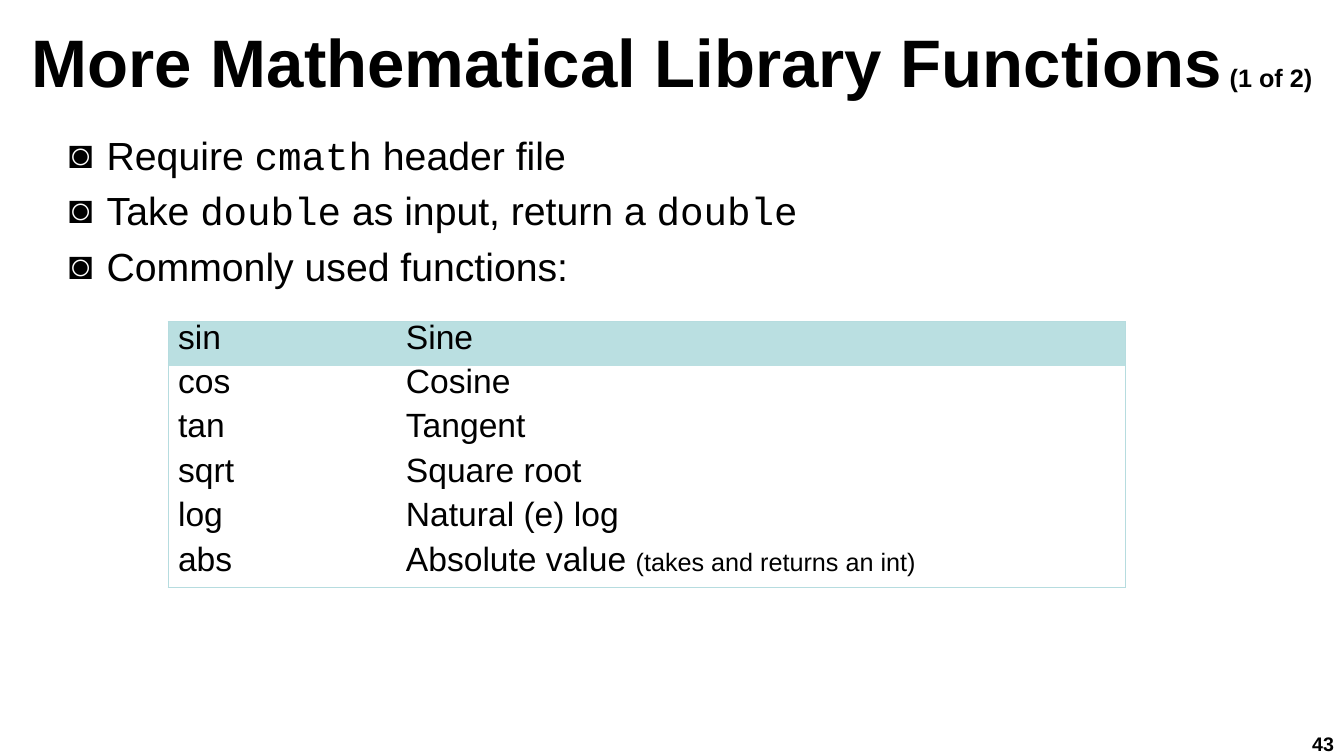
from lxml import etree
from pptx import Presentation, util as u
from pptx.dml.color import RGBColor
from pptx.enum import text
from pptx.oxml import ns

COLORS = {"ink": "000000", "band": "BADFE1", "rule": "B6DCDF"}
SANS, CODE = "Arial", "Courier New"
FUNCTIONS = [
    ("sin", "Sine"),
    ("cos", "Cosine"),
    ("tan", "Tangent"),
    ("sqrt", "Square root"),
    ("log", "Natural (e) log"),
    ("abs", "Absolute value "),
]
REQUIREMENTS = [
    [("Require ", SANS), ("cmath", CODE), (" header file", SANS)],
    [("Take ", SANS), ("double", CODE), (" as input, return a ", SANS), ("double", CODE)],
    [("Commonly used functions:", SANS)],
]
NO_GRID_STYLE = "{2D5ABB26-0587-4C30-8999-92F81FD0307C}"


def rgb(name):
    return RGBColor.from_string(COLORS[name])


def write(paragraph, words, size, font=SANS, bold=False, color="ink"):
    run = paragraph.add_run()
    run.text = words
    run.font.name, run.font.size, run.font.bold = font, u.Pt(size), bold
    run.font.color.rgb = rgb(color)


def place(shape, box):
    shape.left, shape.top, shape.width, shape.height = map(u.Pt, box)


def add_bullet(paragraph, indent):
    props = paragraph._p.get_or_add_pPr()
    props.set("marL", str(u.Pt(indent)))
    props.set("indent", str(u.Pt(-indent)))
    color = etree.SubElement(props, ns.qn("a:buClr"))
    etree.SubElement(color, ns.qn("a:srgbClr"), val=COLORS["ink"])
    etree.SubElement(props, ns.qn("a:buFont"), typeface=SANS)
    etree.SubElement(props, ns.qn("a:buChar"), char="◙")


def add_borders(cell, sides):
    """Draw thin rules on the given sides, ordered L, R, T, B."""
    props = cell._tc.get_or_add_tcPr()
    for index, side in enumerate(sides):
        line = etree.Element(ns.qn(f"a:ln{side}"), w=str(u.Pt(0.75)))
        fill = etree.SubElement(line, ns.qn("a:solidFill"))
        etree.SubElement(fill, ns.qn("a:srgbClr"), val=COLORS["rule"])
        props.insert(index, line)


def heading(slide, box):
    title = slide.shapes.title
    place(title, box)
    frame = title.text_frame
    frame.auto_size = text.MSO_AUTO_SIZE.NONE
    frame.vertical_anchor = text.MSO_ANCHOR.MIDDLE
    line = frame.paragraphs[0]
    line.alignment = text.PP_ALIGN.CENTER
    write(line, "More Mathematical Library Functions", 48, bold=True)
    write(line, " (1 of 2)", 18, bold=True)


def requirements(slide, box):
    body = slide.placeholders[1]
    place(body, box)
    frame = body.text_frame
    frame.auto_size = text.MSO_AUTO_SIZE.NONE
    for index, parts in enumerate(REQUIREMENTS):
        line = frame.add_paragraph() if index else frame.paragraphs[0]
        line.space_before = u.Pt(6)
        add_bullet(line, 27)
        for words, font in parts:
            write(line, words, 28, font=font)


def function_table(slide, box, name_share=0.238):
    left, top, width, height = box
    last = len(FUNCTIONS) - 1
    frame = slide.shapes.add_table(len(FUNCTIONS), 2, *map(u.Pt, box))
    table = frame.table
    table._tbl.tblPr.find(ns.qn("a:tableStyleId")).text = NO_GRID_STYLE
    table.columns[0].width = u.Pt(width * name_share)
    table.columns[1].width = u.Pt(width * (1 - name_share))
    for row, entry in enumerate(FUNCTIONS):
        table.rows[row].height = u.Pt(height / len(FUNCTIONS))
        for column, words in enumerate(entry):
            cell = table.cell(row, column)
            if row == 0:
                cell.fill.solid()
                cell.fill.fore_color.rgb = rgb("band")
            else:
                cell.fill.background()
            add_borders(cell, "LR"[column] + "T" * (row == 0) + "B" * (row == last))
            line = cell.text_frame.paragraphs[0]
            line.line_spacing = 0.75
            write(line, words, 24)
    write(table.cell(last, 1).text_frame.paragraphs[0], "(takes and returns an int)", 18)


def page_number(slide, box):
    frame = slide.shapes.add_textbox(*map(u.Pt, box)).text_frame
    frame.word_wrap = True
    frame.vertical_anchor = text.MSO_ANCHOR.MIDDLE
    line = frame.paragraphs[0]
    line.alignment = text.PP_ALIGN.RIGHT
    write(line, "43", 14, bold=True)


def main():
    deck = Presentation()
    deck.slide_width, deck.slide_height = u.Pt(960), u.Pt(540)
    slide = deck.slides.add_slide(deck.slide_layouts[1])
    heading(slide, (0, 0, 960, 86.4))
    requirements(slide, (42, 90, 918, 126))
    function_table(slide, (120, 229.8, 684, 190.2))
    page_number(slide, (916.8, 522, 43.2, 18))
    deck.save("out.pptx")


if __name__ == "__main__":
    main()
